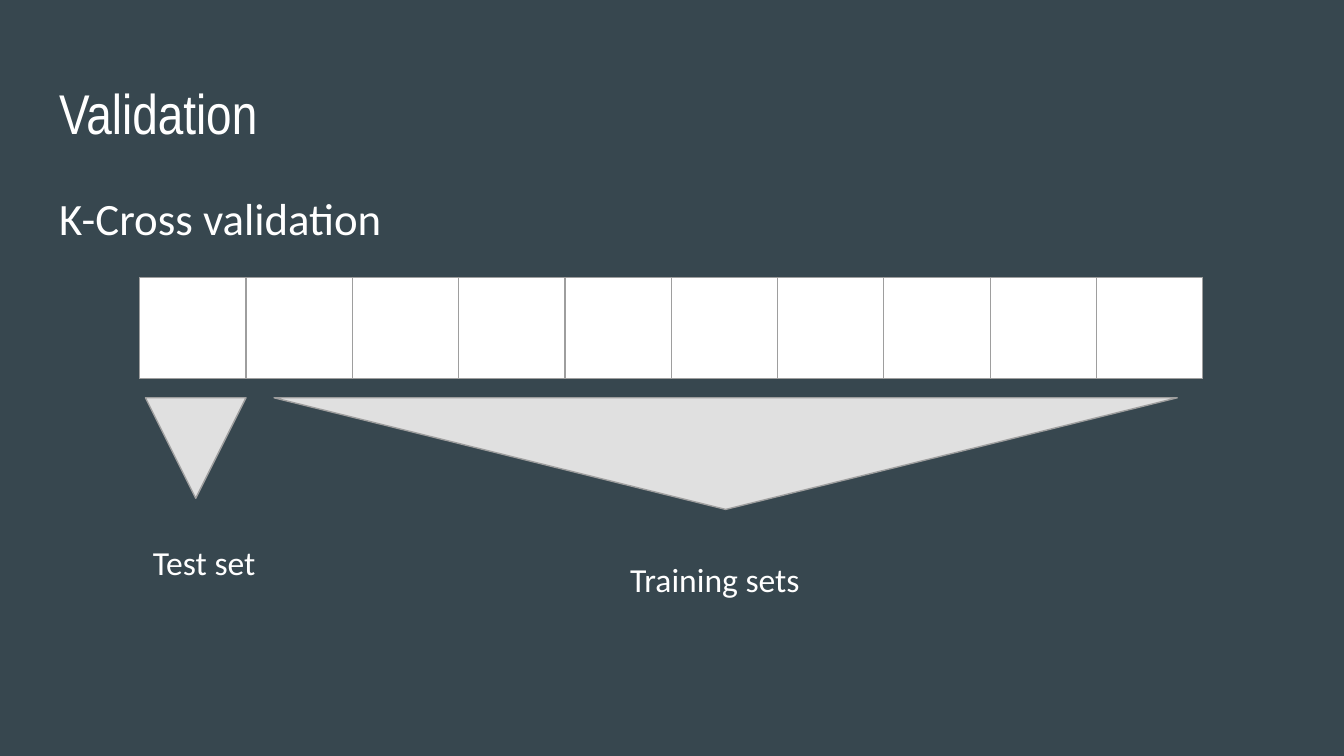
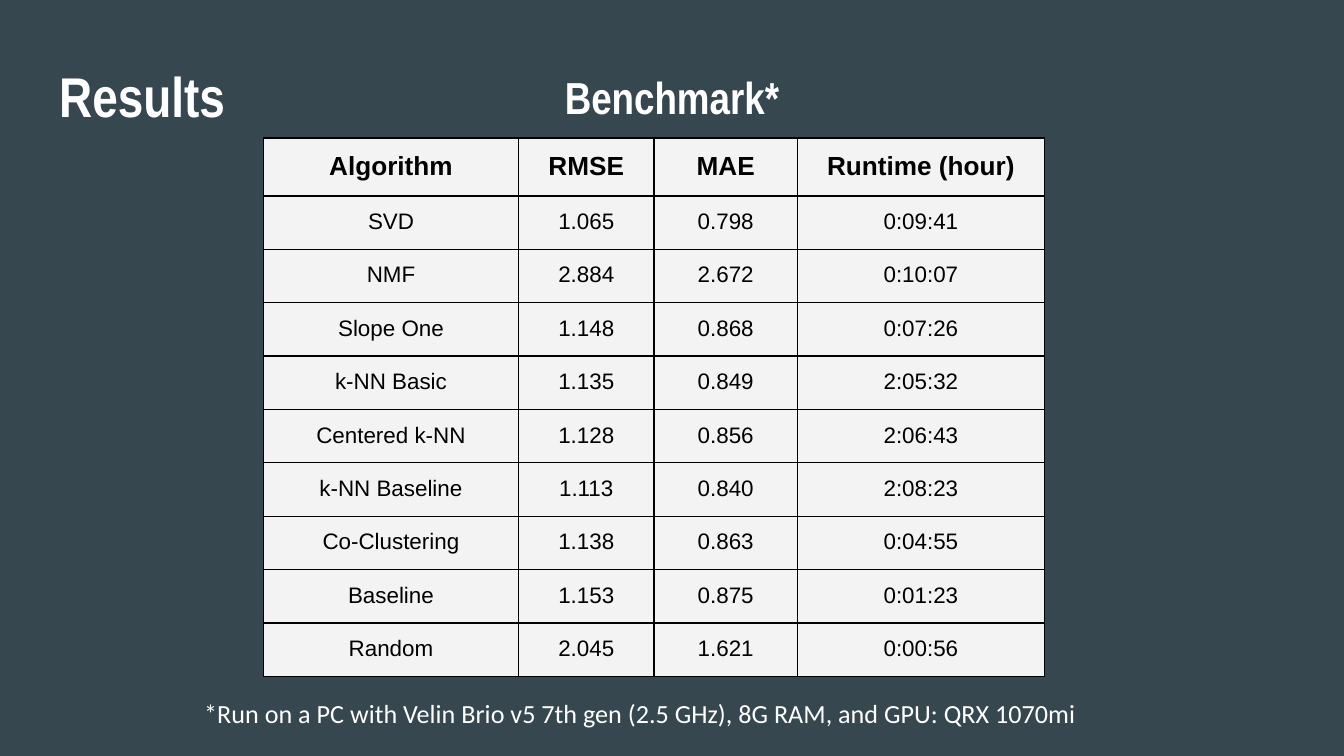
from lxml.etree import SubElement
from pptx import Presentation
from pptx.dml.color import RGBColor
from pptx.enum.shapes import MSO_SHAPE
from pptx.enum.text import PP_ALIGN
from pptx.oxml.ns import qn
from pptx.util import Cm, Pt

HUE = {
    "back": "37474F",
    "white": "FFFFFF",
    "black": "000000",
    "gray": "9E9E9E",
    "light": "E0E0E0",
    "cell": "F3F3F3",
}
INSET = Cm(0.25)


def write(slide, text, box, size, face="Calibri", bold=False, align=None, space=None):
    shape = slide.shapes.add_textbox(*[Cm(n) for n in box])
    frame = shape.text_frame
    frame.word_wrap = True
    frame.margin_left = frame.margin_right = INSET
    frame.margin_top = frame.margin_bottom = INSET
    para = frame.paragraphs[0]
    para.text = text
    para.alignment = align
    para.line_spacing = space
    para.font.name = face
    para.font.size = Pt(size)
    para.font.bold = bold
    para.font.color.rgb = RGBColor.from_string(HUE["white"])


def add_grid(slide, left, top, cols, rows, fill, edge):
    frame = slide.shapes.add_table(
        len(rows), len(cols), Cm(left), Cm(top), Cm(sum(cols)), Cm(sum(rows)))
    table = frame.table
    table.first_row = table.horz_banding = False
    for col, width in zip(table.columns, cols):
        col.width = Cm(width)
    for row, height in zip(table.rows, rows):
        row.height = Cm(height)
    for cell in table.iter_cells():
        cell.margin_left = cell.margin_right = INSET
        cell.margin_top = cell.margin_bottom = INSET
        props = cell._tc.get_or_add_tcPr()
        for side in ("a:lnL", "a:lnR", "a:lnT", "a:lnB"):
            line = SubElement(props, qn(side), w=str(Pt(0.75)))
            paint = SubElement(line, qn("a:solidFill"))
            SubElement(paint, qn("a:srgbClr"), val=HUE[edge])
        cell.fill.solid()
        cell.fill.fore_color.rgb = RGBColor.from_string(HUE[fill])
    return table


deck = Presentation()
deck.slide_width, deck.slide_height = Cm(25.4), Cm(14.29)

# Slides with their shared background and title style
pages = []
for title, top, bold in [("Validation", 1.24, False), ("Results", 0.91, True)]:
    page = deck.slides.add_slide(deck.slide_layouts[6])
    page.background.fill.solid()
    page.background.fill.fore_color.rgb = RGBColor.from_string(HUE["back"])
    write(page, title, (0.87, top, 23.67, 1.6), 30, "Arial Narrow", bold)
    pages.append(page)
folds, scores = pages

# Validation: a row of ten folds
write(folds, "K-Cross validation", (0.87, 3.2, 23.67, 9.5), 24, space=1.15)
add_grid(folds, 2.64, 5.25, [2.01] * 10, [1.9], "white", "gray")

# Markers that group the folds, and their labels
for left, width, height in [(5.18, 17.07, 2.11), (2.75, 1.9, 1.9)]:
    mark = folds.shapes.add_shape(
        MSO_SHAPE.FLOWCHART_MERGE, Cm(left), Cm(7.52), Cm(width), Cm(height))
    mark.shadow.inherit = False
    mark.fill.solid()
    mark.fill.fore_color.rgb = RGBColor.from_string(HUE["light"])
    mark.line.color.rgb = RGBColor.from_string(HUE["gray"])
    mark.line.width = Pt(0.75)
write(folds, "Test set", (2.64, 10, 2.67, 2.39), 18)
write(folds, "Training sets", (11.66, 10.31, 4.09, 2.39), 18)

# Results: benchmark table
write(scores, "Benchmark*", (5.97, 1.07, 13.46, 2.34), 24, "Arial Narrow", True,
      PP_ALIGN.CENTER)
data = [
    ("Algorithm", "RMSE", "MAE", "Runtime (hour)"),
    ("SVD", "1.065", "0.798", "0:09:41"),
    ("NMF", "2.884", "2.672", "0:10:07"),
    ("Slope One", "1.148", "0.868", "0:07:26"),
    ("k-NN Basic", "1.135", "0.849", "2:05:32"),
    ("Centered k-NN", "1.128", "0.856", "2:06:43"),
    ("k-NN Baseline", "1.113", "0.840", "2:08:23"),
    ("Co-Clustering", "1.138", "0.863", "0:04:55"),
    ("Baseline", "1.153", "0.875", "0:01:23"),
    ("Random", "2.045", "1.621", "0:00:56"),
]
table = add_grid(scores, 4.98, 2.61, [4.82, 2.56, 2.71, 4.67],
                 [0.94] * len(data), "cell", "black")
for r, row in enumerate(data):
    for c, text in enumerate(row):
        para = table.cell(r, c).text_frame.paragraphs[0]
        para.text = text
        para.alignment = PP_ALIGN.CENTER
        para.font.name = "Arial"
        para.font.size = Pt(12 if r else 14)
        para.font.bold = r == 0
        para.font.color.rgb = RGBColor.from_string(HUE["black"])

# Footnote
write(scores,
      "*Run on a PC with Velin Brio v5 7th gen (2.5 GHz), 8G RAM, and GPU: QRX 1070mi",
      (3.61, 12.93, 20.4, 2.39), 14)

deck.save("out.pptx")
